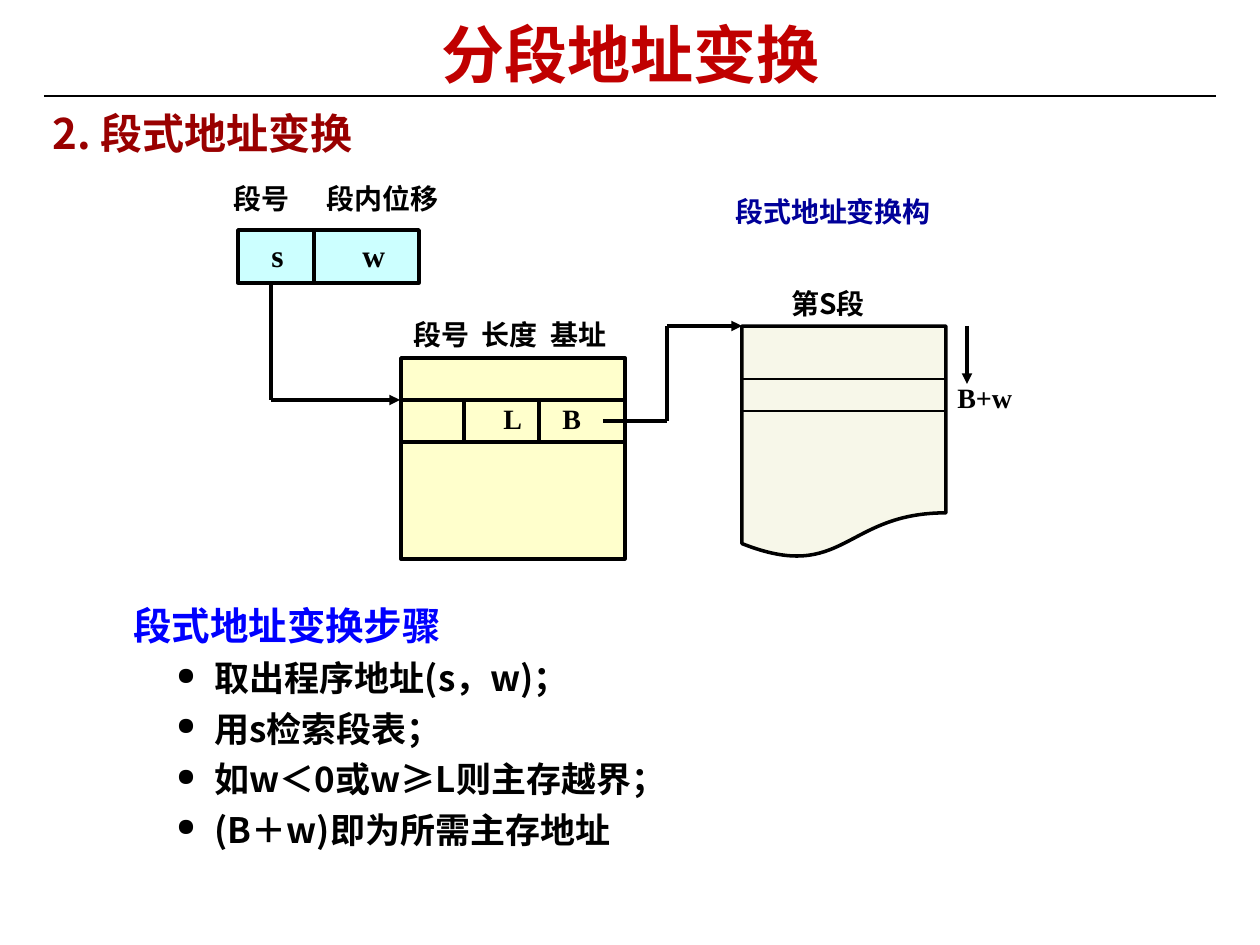
from lxml import etree
from pptx import Presentation
from pptx.dml.color import RGBColor
from pptx.enum.shapes import MSO_CONNECTOR, MSO_SHAPE
from pptx.enum.text import MSO_ANCHOR, PP_ALIGN
from pptx.oxml.ns import qn
from pptx.util import Pt

SCALE = 914400 / 126
SANS = "Noto Sans CJK SC"
SERIF = "Times New Roman"
COLORS = {
    "black": "000000", "title": "C00000", "heading": "990000",
    "caption": "000099", "steps": "0000FF",
    "address": "CCFFFF", "table": "FFFFCC", "segment": "F7F7E9",
}


def emu(px):
    return round(px * SCALE)


def color(name):
    return RGBColor.from_string(COLORS[name])


class SlideBuilder:
    def __init__(self, slide):
        self.slide = slide

    def span(self, para, text, size, font=SANS, ink="black"):
        span = para.add_run()
        span.text = text
        span.font.size = Pt(size)
        span.font.bold = True
        span.font.name = font
        span.font.color.rgb = color(ink)
        east_asian = etree.SubElement(span.font._element, qn("a:ea"))
        east_asian.set("typeface", font)

    def text(self, left, top, width, height, text, size, font=SANS, ink="black"):
        box = self.slide.shapes.add_textbox(*map(emu, (left, top, width, height)))
        box.text_frame.word_wrap = True
        self.span(box.text_frame.paragraphs[0], text, size, font, ink)
        return box.text_frame

    def shape(self, kind, left, top, width, height, fill):
        shape = self.slide.shapes.add_shape(kind, *map(emu, (left, top, width, height)))
        shape.shadow.inherit = False
        shape.fill.solid()
        shape.fill.fore_color.rgb = color(fill)
        shape.line.color.rgb = color("black")
        shape.line.width = Pt(2)
        return shape.text_frame

    def fields(self, frame, top_inset, size, entries):
        """Write cell values on one line, each at its own tab stop."""
        frame.vertical_anchor = MSO_ANCHOR.TOP
        frame.margin_top = emu(top_inset)
        para = frame.paragraphs[0]
        para.alignment = PP_ALIGN.LEFT
        tabs = etree.SubElement(para._p.get_or_add_pPr(), qn("a:tabLst"))
        for position, value in entries:
            etree.SubElement(tabs, qn("a:tab"), pos=str(emu(position)), algn="l")
            self.span(para, "\t" + value, size, SERIF)

    def line(self, x1, y1, x2, y2, weight=2, arrow=False):
        line = self.slide.shapes.add_connector(
            MSO_CONNECTOR.STRAIGHT, *map(emu, (x1, y1, x2, y2)))
        line.line.color.rgb = color("black")
        line.line.width = Pt(weight)
        if arrow:
            etree.SubElement(line.line._get_or_add_ln(), qn("a:tailEnd"), type="triangle")
        etree.SubElement(line._element.spPr, qn("a:effectLst"))

    def route(self, *points):
        """Join points by straight lines, with an arrowhead at the last."""
        for index, (start, end) in enumerate(zip(points, points[1:]), 2):
            self.line(*start, *end, arrow=index == len(points))

    def bullet(self, frame, text, size):
        para = frame.add_paragraph()
        para.level = 1
        para.space_before = Pt(4.8)
        props = para._p.get_or_add_pPr()
        props.set("marL", str(emu(81)))
        props.set("indent", str(emu(-38)))
        tint = etree.SubElement(props, qn("a:buClr"))
        etree.SubElement(tint, qn("a:srgbClr"), val=COLORS["black"])
        etree.SubElement(props, qn("a:buSzPct"), val="70000")
        etree.SubElement(props, qn("a:buChar"), char="●")
        self.span(para, text, size)


def main():
    deck = Presentation()
    deck.slide_width, deck.slide_height = emu(1260), emu(945)
    page = SlideBuilder(deck.slides.add_slide(deck.slide_layouts[6]))

    # Title and heading
    page.line(44, 96, 1216, 96, weight=0.75)
    title = page.text(47, 0, 1166, 95, "分段地址变换", 36, ink="title")
    title.vertical_anchor = MSO_ANCHOR.MIDDLE
    title.paragraphs[0].alignment = PP_ALIGN.CENTER
    title.paragraphs[0].line_spacing = 1.15
    page.text(40, 101, 445, 63, "2. 段式地址变换", 24, ink="heading")

    # Logical address
    address = page.shape(MSO_SHAPE.RECTANGLE, 238, 230, 181, 53, "address")
    page.fields(address, 6, 18, [(21, "s"), (112, "w")])
    page.line(314, 230, 314, 283)
    page.text(221, 175, 115, 53, "段号", 16)
    page.text(314, 175, 181, 63, "段内位移", 16)

    # Segment table
    table = page.shape(MSO_SHAPE.RECTANGLE, 401, 358, 224, 201, "table")
    page.fields(table, 44, 16, [(90, "L"), (149, "B")])
    for y in (400, 442):
        page.line(400, y, 624, y)
    for x in (464, 539):
        page.line(x, 400, x, 442)
    page.text(401, 311, 248, 47, "段号  长度  基址", 16)

    # Segment in main memory
    page.shape(MSO_SHAPE.FLOWCHART_DOCUMENT, 742, 326, 204, 233, "segment")
    for y in (379, 411):
        page.line(742, y, 945, y, weight=1.5)
    page.text(779, 280, 150, 43, "第S段", 16)
    page.text(945, 374, 112, 53, "B+w", 16, SERIF)
    page.text(723, 188, 243, 47, "段式地址变换构", 16, ink="caption")

    # Lookup arrows
    page.route((271, 283), (271, 400), (400, 400))
    page.route((603, 421), (667, 421), (667, 326), (742, 326))
    page.route((967, 326), (967, 384))

    # Steps
    steps = page.text(121, 596, 1023, 261, "段式地址变换步骤", 22, ink="steps")
    for step in ("取出程序地址(s，w)；", "用s检索段表；",
                 "如w＜0或w≥L则主存越界；", "(B＋w)即为所需主存地址"):
        page.bullet(steps, step, 20)

    deck.save("out.pptx")


if __name__ == "__main__":
    main()
